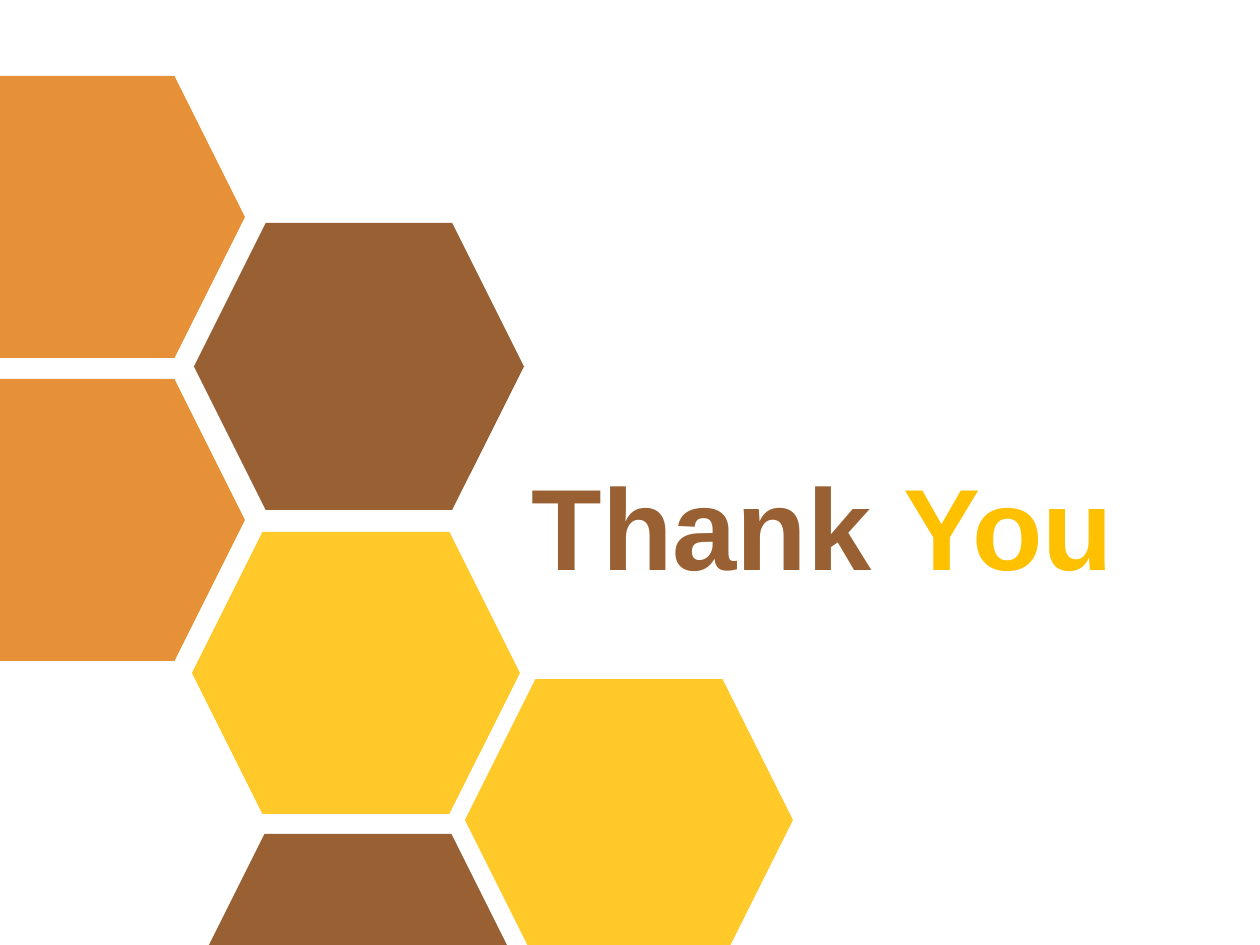
from lxml import etree
from pptx import Presentation
from pptx import util as u
from pptx.dml.color import RGBColor
from pptx.enum import shapes, text
from pptx.oxml.ns import qn

SCALE = 914400 / 126
THEME = {
    "font": "Arial",
    "title": 66,
    "orange": "E69138",
    "brown": "996133",
    "gold": "FFC000",
    "alpha": {"gold": 84},
}
SIZE = (1260, 945)
CELL = (328, 282)
BIG = (330, 287)
CELLS = [
    (465, 679, CELL, "gold"),
    (192, 532, CELL, "gold"),
    (-83, 76, CELL, "orange"),
    (194, 223, BIG, "brown"),
    (-83, 379, CELL, "orange"),
    (194, 834, CELL, "brown"),
]
TITLE = [("Thank ", "brown"), ("You", "gold")]
TITLE_BOX = (519, 449, 741, 152)


def px(n):
    return u.Emu(round(n * SCALE))


def color(name):
    return RGBColor.from_string(THEME[name])


def add_cell(slide, left, top, size, name):
    cell = slide.shapes.add_shape(
        shapes.MSO_SHAPE.HEXAGON, *map(px, (left, top, *size)))
    cell.shadow.inherit = False
    cell.line.fill.background()
    cell.fill.solid()
    cell.fill.fore_color.rgb = color(name)
    if name in THEME["alpha"]:
        tone = cell.fill._xPr.find(qn("a:solidFill"))[0]
        alpha = etree.SubElement(tone, qn("a:alpha"))
        alpha.set("val", str(THEME["alpha"][name] * 1000))


def set_title(title):
    title.left, title.top, title.width, title.height = map(px, TITLE_BOX)
    frame = title.text_frame
    frame.word_wrap = True
    frame.auto_size = text.MSO_AUTO_SIZE.NONE
    frame.vertical_anchor = text.MSO_ANCHOR.TOP
    para = frame.paragraphs[0]
    para.alignment = text.PP_ALIGN.LEFT
    for words, name in TITLE:
        run = para.add_run()
        run.text = words
        run.font.name = THEME["font"]
        run.font.size = u.Pt(THEME["title"])
        run.font.bold = True
        run.font.color.rgb = color(name)


def main():
    deck = Presentation()
    deck.slide_width, deck.slide_height = map(px, SIZE)
    slide = deck.slides.add_slide(deck.slide_layouts[5])
    set_title(slide.shapes.title)
    for cell in CELLS:
        add_cell(slide, *cell)
    deck.save("out.pptx")


if __name__ == "__main__":
    main()
